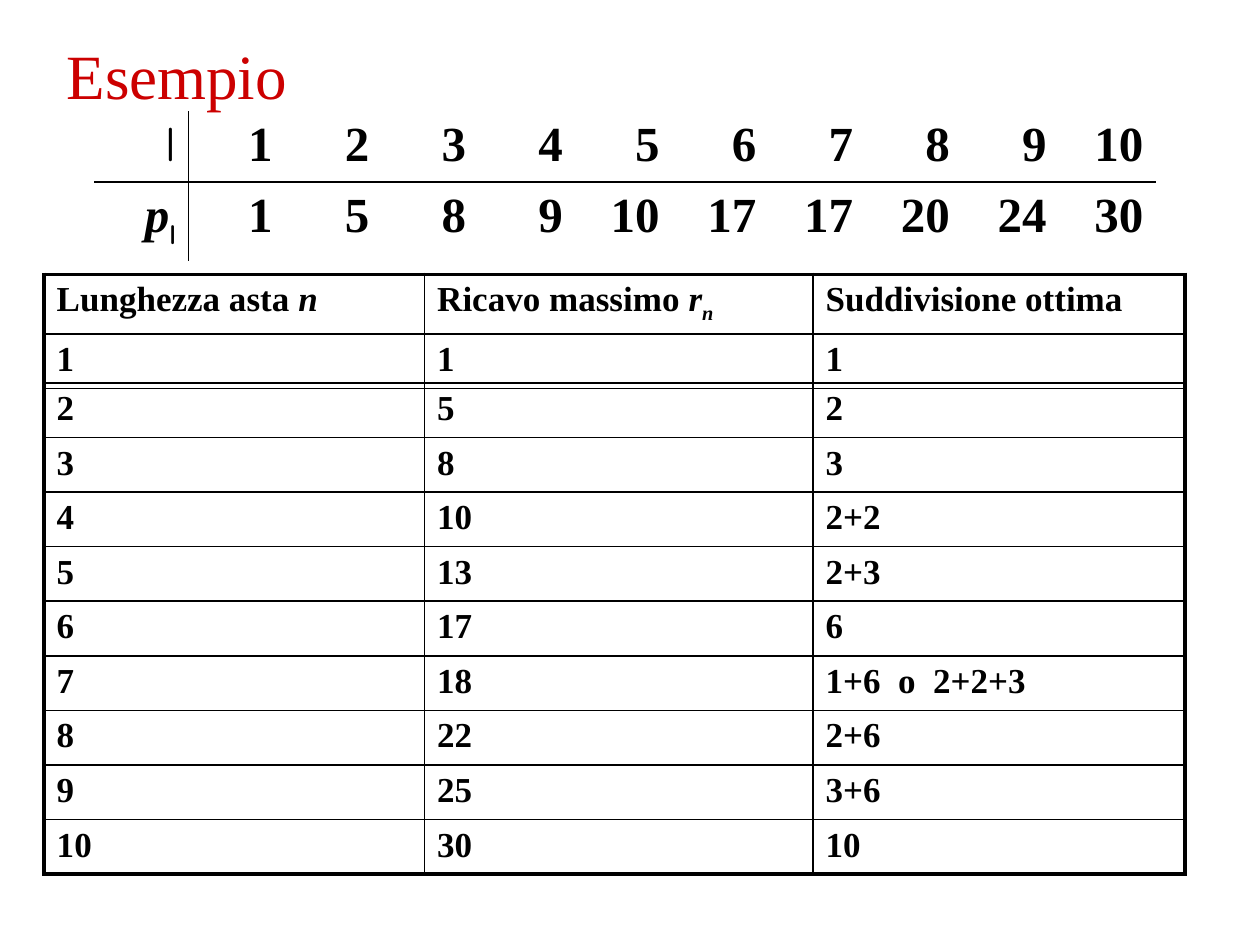
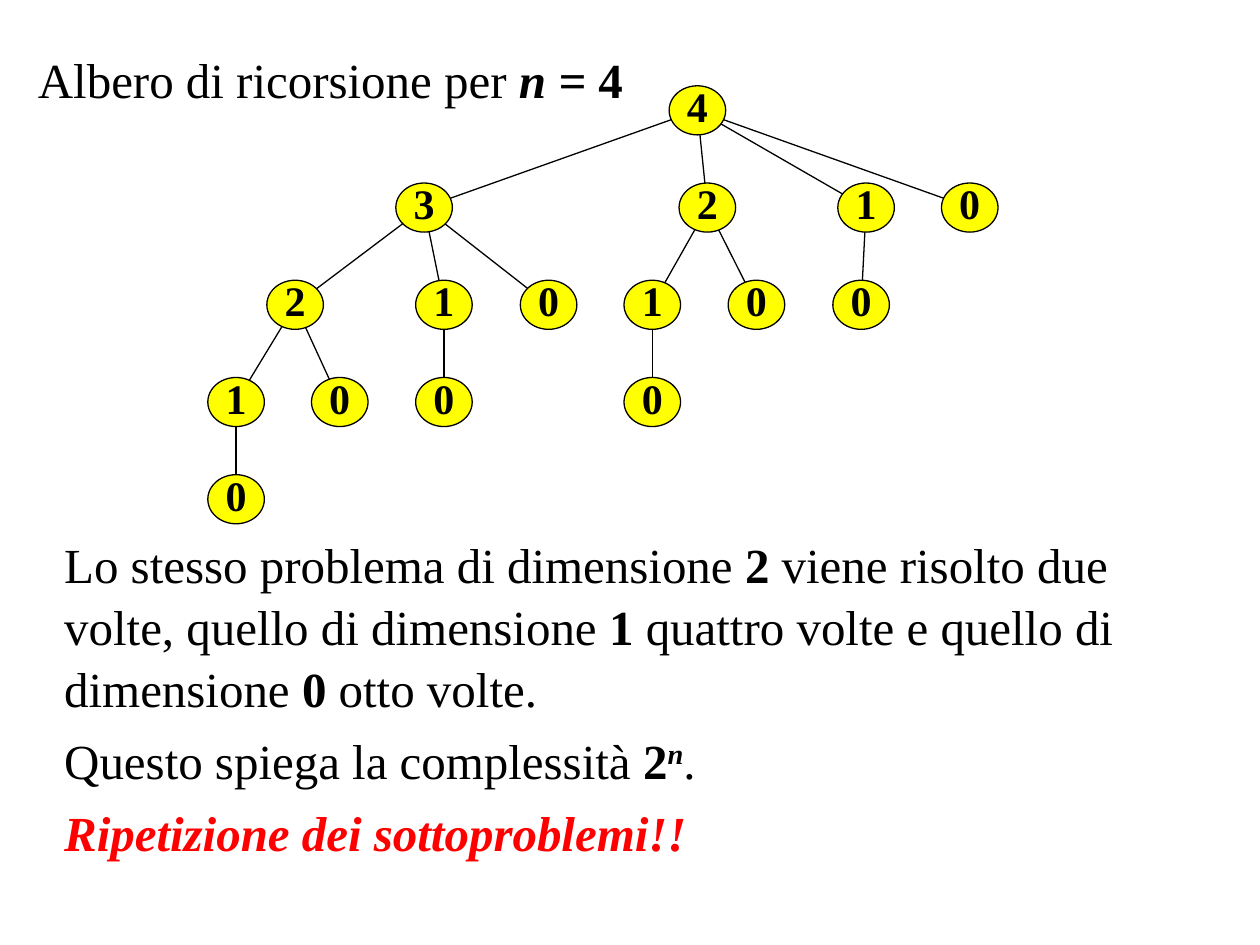
"""Build two slides on the rod-cutting example: price tables and a recursion tree."""
from lxml import etree
from pptx import Presentation
from pptx.dml import color as colors
from pptx.enum import shapes, text
from pptx.oxml import ns
from pptx.util import Cm, Pt

SERIF, SANS = "Times New Roman", "Comic Neue"
BLACK, CRIMSON, RED, YELLOW = "000000", "CC0000", "FF0000", "FFFF00"
THIN, THICK = 1, 2.25
BOLD = {"bold": True}
BOLD_ITALIC = {"bold": True, "italic": True}

TITLE_PRICES = [("Esempio", {"size": 36, "color": CRIMSON})]
LENGTH_HEAD = [("l", {"font": SANS})]
PRICE_HEAD = [("p", BOLD_ITALIC), ("l", {"font": SANS, "bold": True, "baseline": -25})]
PRICES = [1, 5, 8, 9, 10, 17, 17, 20, 24, 30]

RESULT_HEAD = [
    [("Lunghezza asta ", BOLD), ("n", BOLD_ITALIC)],
    [("Ricavo massimo ", BOLD), ("r", BOLD_ITALIC), ("n", {**BOLD_ITALIC, "baseline": -25})],
    [("Suddivisione ottima", BOLD)],
]
RESULTS = [
    (1, "1"), (5, "2"), (8, "3"), (10, "2+2"), (13, "2+3"),
    (17, "6"), (18, "1+6  o  2+2+3"), (22, "2+6"), (25, "3+6"), (30, "10"),
]
RESULT_WIDTHS = [7.67, 7.83, 7.5]

TITLE_TREE = [("Albero di ricorsione per ", {}), ("n = ", BOLD_ITALIC), ("4", BOLD)]
TREE = (4, 13.49, [
    (3, 7.98, [
        (2, 5.38, [(1, 4.19, [(0, 4.19, [])]), (0, 6.28, [])]),
        (1, 8.38, [(0, 8.38, [])]),
        (0, 10.49, []),
    ]),
    (2, 13.69, [(1, 12.58, [(0, 12.58, [])]), (0, 14.68, [])]),
    (1, 16.89, [(0, 16.79, [])]),
    (0, 18.98, []),
])
TREE_TOP, LEVEL_STEP = 1.73, 1.96
NODE_WIDTH, NODE_HEIGHT = 1.14, 0.99

REMARKS = [
    [("Lo stesso problema di dimensione ", {}), ("2", BOLD),
     (" viene risolto due volte, quello di dimensione ", {}), ("1", BOLD),
     (" quattro volte e quello di dimensione ", {}), ("0", BOLD), (" otto volte.", {})],
    [("Questo spiega la complessità ", {}), ("2", BOLD),
     ("n", {**BOLD_ITALIC, "baseline": 30}), (".", {})],
    [("Ripetizione dei sottoproblemi!!", {**BOLD_ITALIC, "color": RED})],
]


def rgb(value):
    return colors.RGBColor.from_string(value)


def add_text(paragraph, content, size=28, font=SERIF, color=BLACK, bold=False, italic=False, baseline=0):
    run = paragraph.add_run()
    run.text = str(content)
    run.font.size, run.font.name = Pt(size), font
    run.font.bold, run.font.italic = bold, italic
    run.font.color.rgb = rgb(color)
    if baseline:
        run.font._element.set("baseline", str(baseline * 1000))


def add_runs(paragraph, runs, **defaults):
    for content, style in runs:
        add_text(paragraph, content, **{**defaults, **style})


def fill_placeholder(placeholder, box, paragraphs, top_margin):
    placeholder.left, placeholder.top, placeholder.width, placeholder.height = map(Cm, box)
    frame = placeholder.text_frame
    frame.word_wrap, frame.auto_size = True, text.MSO_AUTO_SIZE.NONE
    frame.vertical_anchor = text.MSO_ANCHOR.TOP
    frame.margin_top = Cm(top_margin)
    for index, runs in enumerate(paragraphs):
        paragraph = frame.add_paragraph() if index else frame.paragraphs[0]
        paragraph.alignment = text.PP_ALIGN.LEFT
        paragraph.line_spacing = 1.05
        paragraph.space_before = Pt(6 if index else 0)
        properties = paragraph._p.get_or_add_pPr()
        properties.set("marL", "0")
        properties.set("indent", "0")
        etree.SubElement(properties, ns.qn("a:buNone"))
        add_runs(paragraph, runs)


def set_borders(cell, left, right, top, bottom):
    cell.fill.background()
    properties = cell._tc.get_or_add_tcPr()
    sides = zip(("lnL", "lnR", "lnT", "lnB"), (left, right, top, bottom))
    for index, (tag, width) in enumerate(sides):
        line = etree.Element(ns.qn(f"a:{tag}"), w=str(Pt(width)))
        properties.insert(index, line)
        if width:
            fill = etree.SubElement(line, ns.qn("a:solidFill"))
            etree.SubElement(fill, ns.qn("a:srgbClr"), val=BLACK)
        else:
            etree.SubElement(line, ns.qn("a:noFill"))


def add_table(slide, left, top, widths, heights, rows, borders, size, alignment):
    box = map(Cm, (left, top, sum(widths), sum(heights)))
    table = slide.shapes.add_table(len(rows), len(widths), *box).table
    table.first_row = table.horz_banding = False
    for column, width in zip(table.columns, widths):
        column.width = Cm(width)
    for row, (height, cells) in enumerate(zip(heights, rows)):
        table.rows[row].height = Cm(height)
        for column, content in enumerate(cells):
            cell = table.cell(row, column)
            paragraph = cell.text_frame.paragraphs[0]
            paragraph.alignment = alignment
            runs = content if isinstance(content, list) else [(content, BOLD)]
            add_runs(paragraph, runs, size=size)
            set_borders(cell, *borders(row, column))


def add_price_table(slide):
    def borders(row, column):
        return (THIN * (column == 1), THIN * (column == 0), THIN * (row == 1), THIN * (row == 0))

    rows = [[LENGTH_HEAD, *range(1, len(PRICES) + 1)], [PRICE_HEAD, *PRICES]]
    widths = [1.9] + [1.95] * len(PRICES)
    add_table(slide, 1.9, 2.24, widths, [1.43, 1.59], rows, borders, 28, text.PP_ALIGN.RIGHT)


def add_result_tables(slide):
    rows = [(length, *result) for length, result in enumerate(RESULTS, 1)]
    groups = [[RESULT_HEAD, rows[0]]] + [[row] for row in rows[1:]]
    for index, group in enumerate(groups):
        def borders(row, column):
            first = index == 0 and row == 0
            last = index == len(groups) - 1
            return (THICK if column == 0 else THIN, THICK if column == 2 else THIN,
                    THICK if first else THIN, THICK if last else THIN)

        top = 7.72 + 1.1 * (index - 1) if index else 5.53
        heights = [1.1] if index else [1.2, 1.1]
        add_table(slide, 0.89, top, RESULT_WIDTHS, heights, group, borders, 20, text.PP_ALIGN.LEFT)


def node_center(x, level):
    return Cm(x + NODE_WIDTH / 2), Cm(TREE_TOP + LEVEL_STEP * level + NODE_HEIGHT / 2)


def add_branches(group, node, level=0):
    value, x, children = node
    for child in children:
        ends = node_center(x, level) + node_center(child[1], level + 1)
        connector = group.shapes.add_connector(shapes.MSO_CONNECTOR.STRAIGHT, *ends)
        connector.line.color.rgb, connector.line.width = rgb(BLACK), Pt(0.75)
        etree.SubElement(connector._element.spPr, ns.qn("a:effectLst"))
        add_branches(group, child, level + 1)


def add_nodes(group, node, level=0):
    value, x, children = node
    box = map(Cm, (x, TREE_TOP + LEVEL_STEP * level, NODE_WIDTH, NODE_HEIGHT))
    shape = group.shapes.add_shape(shapes.MSO_SHAPE.OVAL, *box)
    shape.shadow.inherit = False
    shape.fill.solid()
    shape.fill.fore_color.rgb = rgb(YELLOW)
    shape.line.color.rgb, shape.line.width = rgb(BLACK), Pt(0.75)
    frame = shape.text_frame
    frame.word_wrap, frame.vertical_anchor = False, text.MSO_ANCHOR.MIDDLE
    paragraph = frame.paragraphs[0]
    paragraph.alignment, paragraph.line_spacing = text.PP_ALIGN.CENTER, 0.8
    add_text(paragraph, value, size=24, bold=True)
    for child in children:
        add_nodes(group, child, level + 1)


presentation = Presentation()
presentation.slide_width, presentation.slide_height = Cm(25.4), Cm(19.05)

slide = presentation.slides.add_slide(presentation.slide_layouts[5])
fill_placeholder(slide.shapes.title, (1.09, 0.43, 6.81, 1.8), [TITLE_PRICES], 0.23)
add_price_table(slide)
add_result_tables(slide)

slide = presentation.slides.add_slide(presentation.slide_layouts[1])
fill_placeholder(slide.shapes.title, (0.51, 0.71, 23.9, 1.45), [TITLE_TREE], 0.23)
fill_placeholder(slide.placeholders[1], (1.04, 10.54, 22.3, 6.68), REMARKS, 0.18)
tree = slide.shapes.add_group_shape()
add_branches(tree, TREE)
add_nodes(tree, TREE)

presentation.save("out.pptx")
